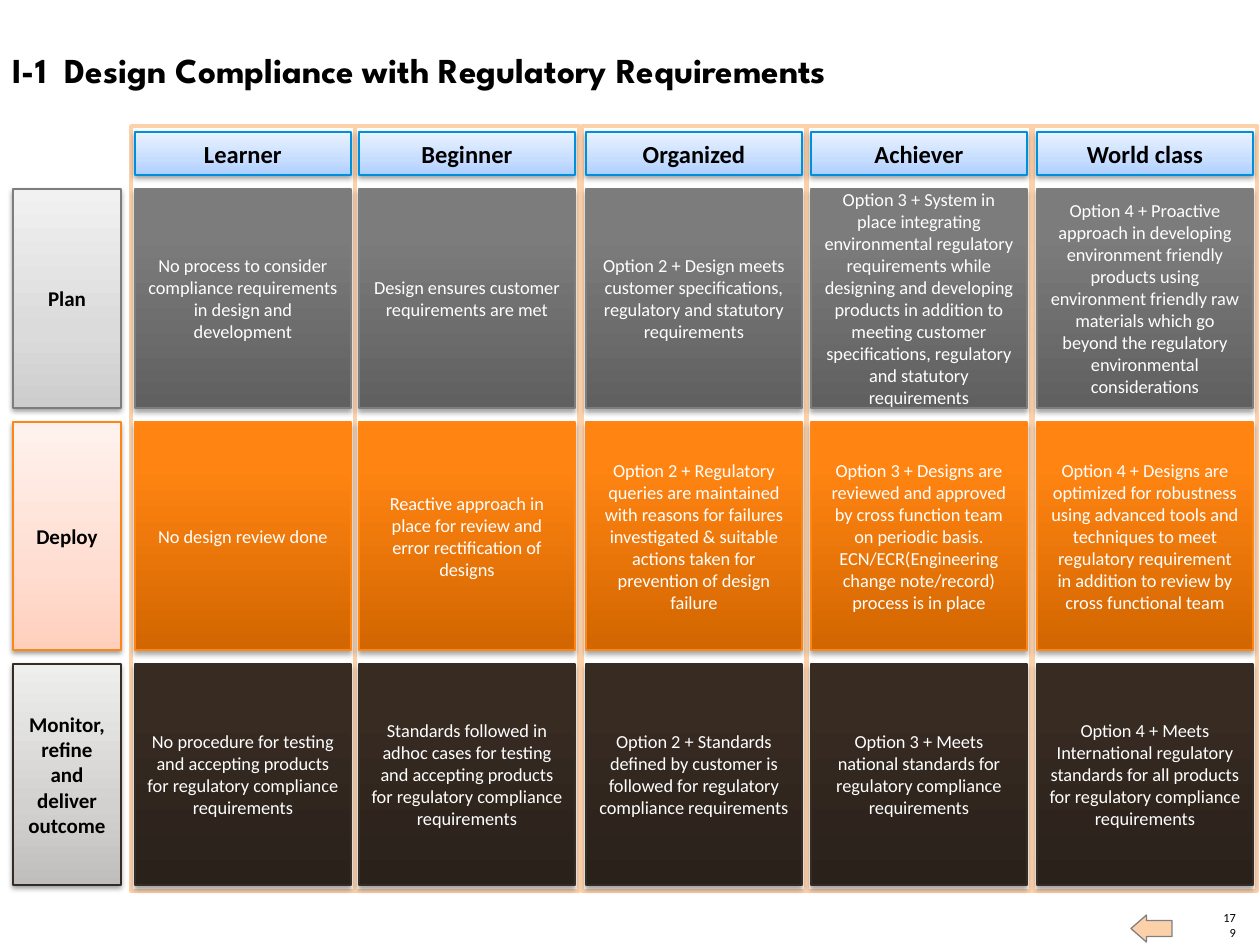
from dataclasses import dataclass

from lxml.etree import SubElement
from pptx import Presentation
from pptx.dml.color import RGBColor as Rgb
from pptx.enum.shapes import MSO_SHAPE as Preset
from pptx.enum.text import MSO_ANCHOR as Anchor, MSO_AUTO_SIZE as AutoSize, PP_ALIGN as Align
from pptx.oxml.ns import qn
from pptx.util import Emu, Pt

PX = 914400 / 126


def px(length):
    return Emu(round(length * PX))


@dataclass(frozen=True)
class Look:
    """Gradient stops (percent, colour) from bottom to top, with outline and shadow."""
    stops: tuple
    line: str
    alpha: int = 35
    drop: float = 1.8


def tint(low, middle, high, line):
    return Look(((0, low), (35, middle), (100, high)), line, 38, 1.6)


def solid(low, middle, high, line):
    return Look(((0, low), (80, middle), (100, high)), line)


class Theme:
    black, white = "000000", "FFFFFF"
    peach, outline = "FCD1AA", "808080"
    title = dict(name="League Spartan", size=Pt(20), bold=True)
    header = dict(name="Calibri", size=Pt(14), bold=True)
    label = dict(name="Calibri", size=Pt(12), bold=True)
    body = dict(name="Calibri", size=Pt(10.5), bold=False)
    number = dict(name="Calibri", size=Pt(7.1), bold=False)
    header_look = tint("AECFFF", "C6DDFF", "E9F2FF", "008FDC")
    label_looks = (
        tint("CDCDCD", "DBDBDB", "F1F1F1", "7D7D7D"),
        tint("FFCFBD", "FFDDD1", "FFF2EE", "FF8615"),
        tint("C0BEBC", "D3D1D0", "EEEEED", "352C25"),
    )
    cell_looks = (
        solid("606060", "7C7C7C", "7D7D7D", "7D7D7D"),
        solid("D26600", "FF8412", "FF8514", "FF8615"),
        solid("2A211B", "372B22", "372B22", "352C25"),
    )


class SlideBuilder:
    def __init__(self, page, theme):
        self.page = page
        self.theme = theme

    def fill_text(self, shape, text, font, color, align, **frame):
        box = shape.text_frame
        settings = dict(word_wrap=True, auto_size=AutoSize.NONE, **frame)
        for name, value in settings.items():
            setattr(box, name, value)
        para = box.paragraphs[0]
        para.alignment = align
        span = para.add_run()
        span.text = text
        for name, value in font.items():
            setattr(span.font, name, value)
        span.font.color.rgb = Rgb.from_string(color)

    def text(self, place, text, font, align=Align.LEFT, **frame):
        box = self.page.shapes.add_textbox(*map(px, place))
        self.fill_text(box, text, font, self.theme.black, align, **frame)

    def shape(self, place, fill, line, width, preset=Preset.RECTANGLE):
        shape = self.page.shapes.add_shape(preset, *map(px, place))
        shape.shadow.inherit = False
        if fill:
            shape.fill.solid()
            shape.fill.fore_color.rgb = Rgb.from_string(fill)
        shape.line.color.rgb = Rgb.from_string(line)
        shape.line.width = Pt(width)
        return shape

    def arrow(self, place):
        arrow = self.shape(place, self.theme.peach, self.theme.outline, 0.75, Preset.RIGHT_ARROW)
        arrow.rotation = 180
        arrow.adjustments[0], arrow.adjustments[1] = 0.59, 0.57

    def card(self, place, text, look, font, color):
        """Draw a shadowed gradient rectangle with centred text."""
        card = self.shape(place, None, look.line, 0.75)
        card.fill.gradient()
        card.fill.gradient_angle = 90
        properties = card._element.spPr
        stop_list = properties.find(qn("a:gradFill")).find(qn("a:gsLst"))
        for stop in list(stop_list):
            stop_list.remove(stop)
        for percent, shade in look.stops:
            stop = SubElement(stop_list, qn("a:gs"), pos=str(percent * 1000))
            SubElement(stop, qn("a:srgbClr"), val=shade)
        shadow = SubElement(
            properties.find(qn("a:effectLst")), qn("a:outerShdw"),
            blurRad=str(Pt(3.1)), dist=str(Pt(look.drop)), dir="5400000", rotWithShape="0")
        shade = SubElement(shadow, qn("a:srgbClr"), val=self.theme.black)
        SubElement(shade, qn("a:alpha"), val=str(look.alpha * 1000))
        self.fill_text(card, text, font, color, Align.CENTER, vertical_anchor=Anchor.MIDDLE)


COLUMN_LEFTS = (135, 359, 586, 811, 1037)
COLUMN_WIDTH = 216
LEVELS = ("Learner", "Beginner", "Organized", "Achiever", "World class")
# Top, height, label, one text per level
ROWS = (
    (189, 219, "Plan", (
        "No process to consider compliance requirements in design and development",
        "Design ensures customer requirements are met",
        "Option 2 + Design meets customer specifications, regulatory and statutory requirements",
        "Option 3 + System in place integrating environmental regulatory requirements while "
        "designing and developing products in addition to meeting customer specifications, "
        "regulatory and statutory requirements",
        "Option 4 + Proactive approach in developing environment friendly products using "
        "environment friendly raw materials which go beyond the regulatory environmental "
        "considerations",
    )),
    (422, 228, "Deploy", (
        "No design review done",
        "Reactive approach in place for review and error rectification of designs",
        "Option 2 + Regulatory queries are maintained with reasons for failures investigated "
        "& suitable actions taken for prevention of design failure",
        "Option 3 + Designs are reviewed and approved by cross function team on periodic basis. "
        "ECN/ECR(Engineering change note/record) process is in place",
        "Option 4 + Designs are optimized for robustness using advanced tools and techniques to "
        "meet regulatory requirement in addition to review by cross functional team",
    )),
    (664, 221, "Monitor, refine and deliver outcome", (
        "No procedure for testing and accepting products for regulatory compliance requirements",
        "Standards followed in adhoc cases for testing and accepting products for regulatory "
        "compliance requirements",
        "Option 2 + Standards defined by customer is followed for regulatory compliance "
        "requirements",
        "Option 3 + Meets national standards for regulatory compliance requirements",
        "Option 4 + Meets International regulatory standards for all products for regulatory "
        "compliance requirements",
    )),
)


def main():
    deck = Presentation()
    deck.slide_width, deck.slide_height = px(1260), px(945)
    theme = Theme()
    builder = SlideBuilder(deck.slides.add_slide(deck.slide_layouts[6]), theme)

    no_margins = {f"margin_{side}": 0 for side in ("left", "top", "right", "bottom")}
    builder.text((1221, 925, 15, 15), "179", theme.number, Align.RIGHT,
                 vertical_anchor=Anchor.BOTTOM, **no_margins)
    builder.arrow((1131, 915, 41, 27))
    builder.text((0, 42, 1084, 55), "I-1  Design Compliance with Regulatory Requirements",
                 theme.title)

    for (top, height, label, _), look in zip(ROWS, theme.label_looks):
        builder.card((13, top, 108, height), label, look, theme.label, theme.black)
    for left in COLUMN_LEFTS:
        builder.shape((left - 4, 126, 224, 765), theme.white, theme.peach, 2)
    for (top, height, _, texts), look in zip(ROWS, theme.cell_looks):
        for left, text in zip(COLUMN_LEFTS, texts):
            builder.card((left, top, COLUMN_WIDTH, height), text, look, theme.body, theme.white)
    for left, level in zip(COLUMN_LEFTS, LEVELS):
        builder.card((left, 132, COLUMN_WIDTH, 43), level, theme.header_look,
                     theme.header, theme.black)

    deck.save("out.pptx")


if __name__ == "__main__":
    main()
